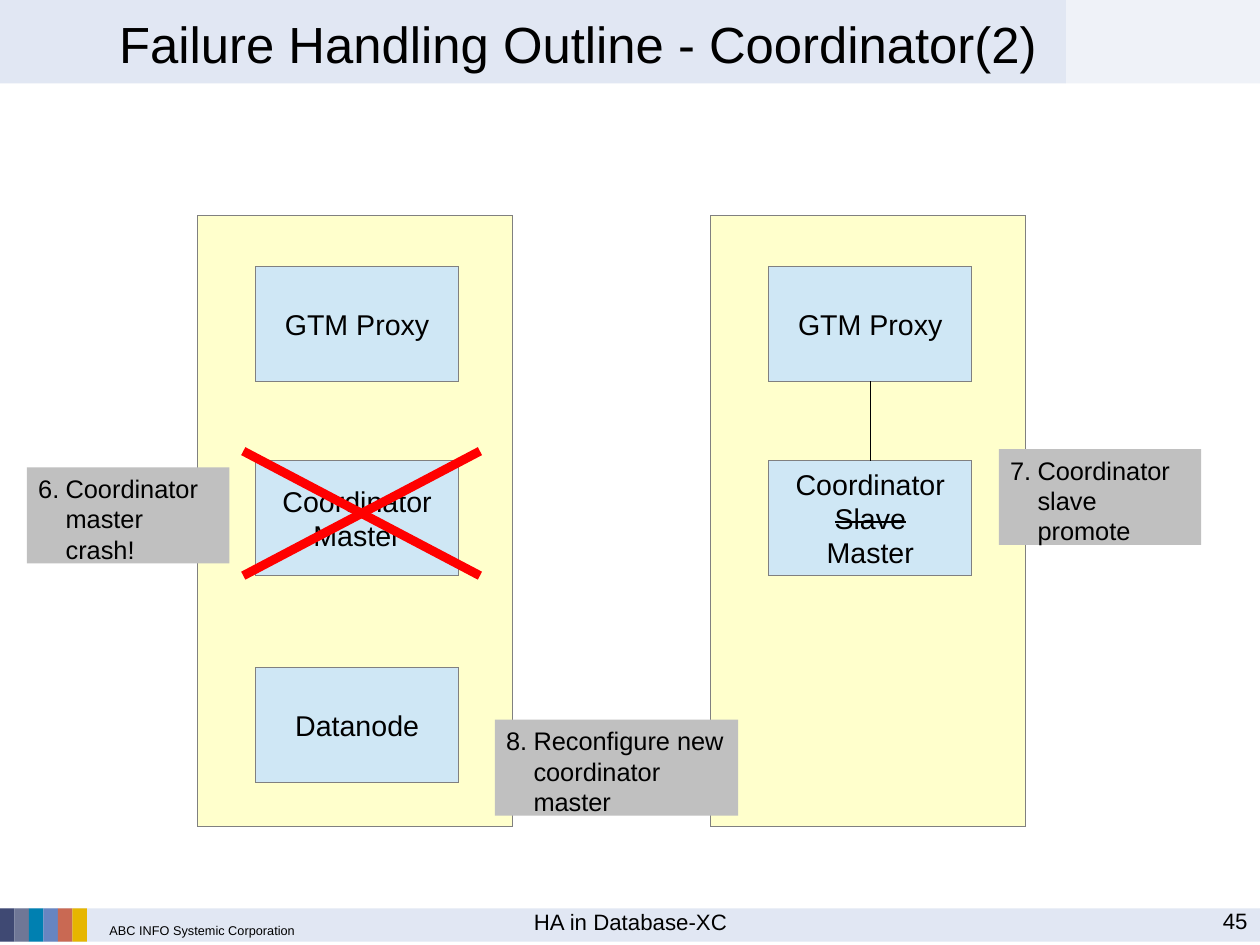
import pptx
import pptx.dml.color
import pptx.enum.shapes
import pptx.enum.text
import pptx.oxml.ns
import pptx.util
from lxml import etree

RGBColor = pptx.dml.color.RGBColor
Align = pptx.enum.text.PP_ALIGN
Anchor = pptx.enum.text.MSO_ANCHOR

BLACK = RGBColor(0x00, 0x00, 0x00)
RED = RGBColor(0xFF, 0x00, 0x00)
BAND = RGBColor(0xE1, 0xE7, 0xF3)
SERVER = RGBColor(0xFF, 0xFF, 0xCC)
COMPONENT = RGBColor(0xCF, 0xE7, 0xF5)
OUTLINE = RGBColor(0x80, 0x80, 0x80)
NOTE = RGBColor(0xC0, 0xC0, 0xC0)
SWATCHES = [
    RGBColor(0x3F, 0x49, 0x73),
    RGBColor(0x6F, 0x77, 0x96),
    RGBColor(0x00, 0x80, 0xB1),
    RGBColor(0x67, 0x85, 0xC1),
    RGBColor(0xC9, 0x69, 0x53),
    RGBColor(0xE6, 0xB6, 0x00),
]

WIDTH = pptx.util.Cm(28)
HEIGHT = pptx.util.Cm(21)
SERVER_LEFTS = (15.67, 56.4)
SERVER_TOP, SERVER_WIDTH, SERVER_HEIGHT = 22.82, 25.03, 64.69
COMPONENT_INDENT, COMPONENT_WIDTH, COMPONENT_HEIGHT = 4.6, 16.15, 12.21
PROXY_TOP, COORDINATOR_TOP, DATANODE_TOP = 28.19, 48.7, 70.6
FOOTER_TOP, FOOTER_HEIGHT = 96.13, 3.51
SWATCH_WIDTH = 1.15


def across(percent):
    return round(WIDTH * percent / 100)


def down(percent):
    return round(HEIGHT * percent / 100)


def area(left, top, width, height):
    return across(left), down(top), across(width), down(height)


def add_xml(parent, tag, **attributes):
    return etree.SubElement(parent, pptx.oxml.ns.qn(tag), attributes)


def draw_outline(shape, color, weight):
    shape.line.color.rgb = color
    outline = shape._element.spPr.find(pptx.oxml.ns.qn("a:ln"))
    outline.set("w", str(pptx.util.Pt(weight)))


def write(box, text, size, align, anchor, margins=(0, 0), wrap=True):
    frame = box.text_frame
    frame.text = text
    frame.word_wrap = wrap
    frame.vertical_anchor = anchor
    frame.margin_left = frame.margin_right = pptx.util.Inches(margins[0])
    frame.margin_top = frame.margin_bottom = pptx.util.Inches(margins[1])
    for para in frame.paragraphs:
        para.alignment = align
        for span in para.runs:
            span.font.name = "Arial"
            span.font.size = pptx.util.Pt(size)
            span.font.color.rgb = BLACK


def add_block(page, place, color, outlined=False):
    block = page.shapes.add_shape(pptx.enum.shapes.MSO_SHAPE.RECTANGLE, *area(*place))
    block.shadow.inherit = False
    block.fill.solid()
    block.fill.fore_color.rgb = color
    if outlined:
        draw_outline(block, OUTLINE, 0)
    else:
        block.line.fill.background()
    return block


def add_label(page, place, text, size, align=Align.CENTER, anchor=Anchor.TOP, margin=0):
    box = page.shapes.add_textbox(*area(*place))
    write(box, text, size, align, anchor, (margin, 0))


def add_component(page, server_left, top, text):
    place = (server_left + COMPONENT_INDENT, top, COMPONENT_WIDTH, COMPONENT_HEIGHT)
    box = add_block(page, place, COMPONENT, True)
    write(box, text, 18, Align.CENTER, Anchor.MIDDLE, (0.1, 0.05), False)
    return box


def add_note(page, left, top, width, number, text):
    box = add_block(page, (left, top, width, 10.16), NOTE)
    write(box, text, 16, Align.LEFT, Anchor.TOP, (0.1, 0.05))
    hanging = pptx.util.Inches(0.24)
    properties = box.text_frame.paragraphs[0]._p.get_or_add_pPr()
    properties.set("marL", str(hanging))
    properties.set("indent", str(-hanging))
    add_xml(properties, "a:buFont", typeface="Arial")
    add_xml(properties, "a:buAutoNum", type="arabicPeriod", startAt=str(number))


def add_line(page, start, end, color, weight):
    line = page.shapes.add_connector(
        pptx.enum.shapes.MSO_CONNECTOR.STRAIGHT,
        across(start[0]), down(start[1]), across(end[0]), down(end[1]),
    )
    draw_outline(line, color, weight)
    add_xml(line._element.spPr, "a:effectLst")
    return line


def add_cross(page, left, top, right, bottom):
    add_line(page, (left, top), (right, bottom), RED, 5.67)
    add_line(page, (left, bottom), (right, top), RED, 5.67)


def add_link(page, upper, lower):
    link = add_line(page, (0, 0), (0, 0), BLACK, 0)
    link.begin_connect(upper, 2)
    link.end_connect(lower, 0)


def add_header(page):
    split = 84.6
    add_block(page, (0, 0, split, 8.83), BAND)
    pale = add_block(page, (split, 0, 100 - split, 8.83), BAND)
    color = pale._element.spPr.find(".//" + pptx.oxml.ns.qn("a:srgbClr"))
    add_xml(color, "a:alpha", val="50000")
    title = "Failure Handling Outline - Coordinator(2)"
    add_label(page, (7.26, 0.3, 77.31, 8.59), title, 32, anchor=Anchor.MIDDLE)


def add_footer(page):
    add_block(page, (0, FOOTER_TOP, 100, FOOTER_HEIGHT), BAND)
    for index, color in enumerate(SWATCHES):
        place = (index * SWATCH_WIDTH, FOOTER_TOP, SWATCH_WIDTH, FOOTER_HEIGHT)
        add_block(page, place, color)
    add_label(page, (7.87, 97.7, 24.32, 1.57), "ABC INFO Systemic Corporation", 8,
              Align.LEFT, margin=0.09)
    add_label(page, (34.21, FOOTER_TOP, 31.67, 3.75), "HA in Database-XC", 14)
    add_label(page, (75.7, 95.97, 23.32, 3.75), "45", 14, Align.RIGHT)


def add_servers(page):
    failed, standby = SERVER_LEFTS
    for left in SERVER_LEFTS:
        add_block(page, (left, SERVER_TOP, SERVER_WIDTH, SERVER_HEIGHT), SERVER, True)
    add_component(page, failed, PROXY_TOP, "GTM Proxy")
    add_component(page, failed, DATANODE_TOP, "Datanode")
    add_component(page, failed, COORDINATOR_TOP, "Coordinator\nMaster")
    proxy = add_component(page, standby, PROXY_TOP, "GTM Proxy")
    promoted = add_component(page, standby, COORDINATOR_TOP, "Coordinator\nSlave\vMaster")
    former_role = promoted.text_frame.paragraphs[1].runs[0]
    former_role._r.get_or_add_rPr().set("strike", "sngStrike")
    add_link(page, proxy, promoted)


def main():
    deck = pptx.Presentation()
    deck.slide_width, deck.slide_height = WIDTH, HEIGHT
    page = deck.slides.add_slide(deck.slide_layouts[6])
    add_header(page)
    add_footer(page)
    add_servers(page)
    add_note(page, 2.14, 49.46, 16.06, 6, "Coordinator master crash!")
    add_note(page, 79.27, 47.52, 16.06, 7, "Coordinator slave promote")
    add_cross(page, 19.31, 47.74, 38.09, 60.92)
    add_note(page, 39.27, 76.16, 19.31, 8, "Reconfigure new coordinator master")
    deck.save("out.pptx")


if __name__ == "__main__":
    main()
